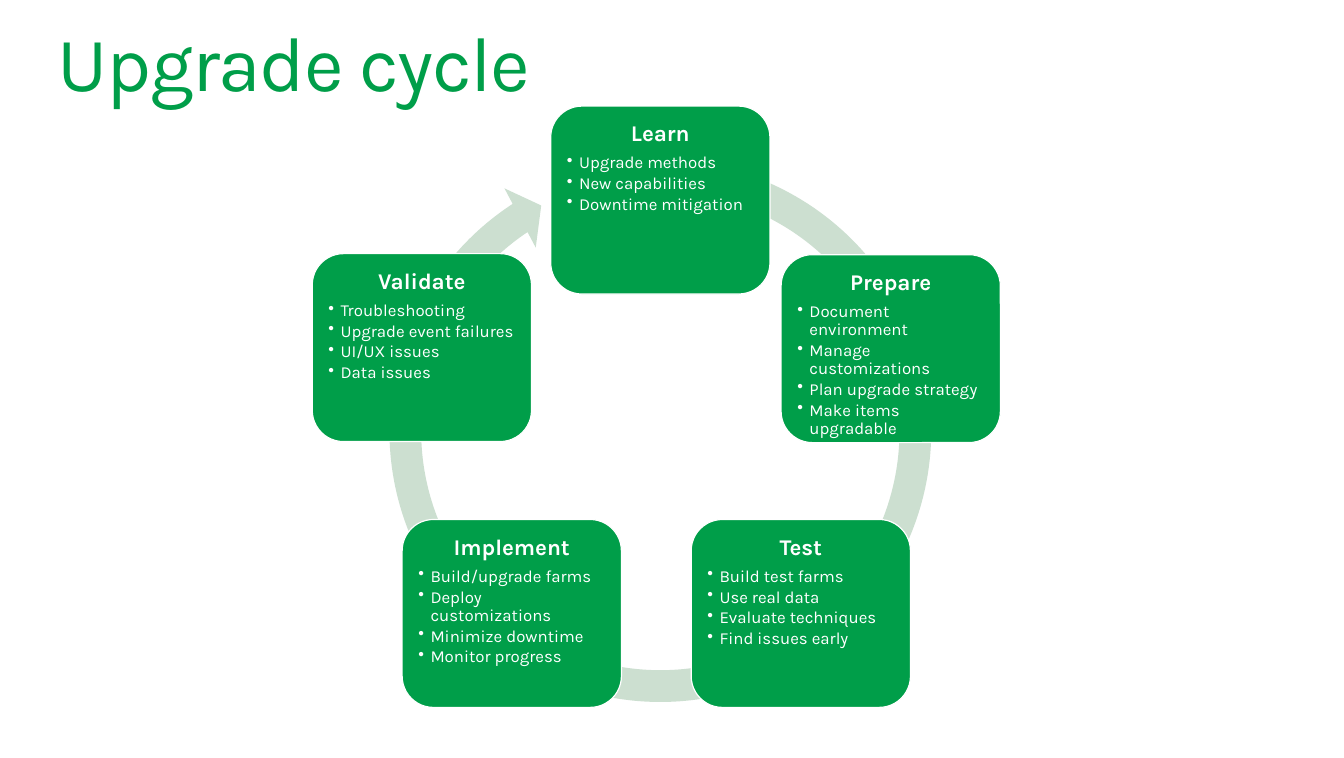
"""Build the upgrade cycle slide: five stage cards around a circular arrow."""
from lxml.etree import SubElement
from pptx import Presentation
from pptx.dml.color import RGBColor
from pptx.enum.shapes import MSO_SHAPE
from pptx.enum.text import MSO_ANCHOR, MSO_AUTO_SIZE, PP_ALIGN
from pptx.oxml.ns import qn
from pptx.util import Inches, Pt

COLORS = {"green": "009E49", "pale": "CCDFD0", "white": "FFFFFF"}
WIDTH, HEIGHT = 13.3, 7.5
COLUMNS, ROWS = 133, 75
CARD_SIZE = (21.7, 18.6)
RING_PERCENTS = (5.5, 330.7, 14198.4, 17133.9, 5.8)
STAGES = [
    (54.5, 10.5, "Learn",
     ["Upgrade methods", "New capabilities", "Downtime mitigation"]),
    (77.3, 25.2, "Prepare",
     ["Document environment", "Manage customizations",
      "Plan upgrade strategy", "Make items upgradable"]),
    (68.4, 51.4, "Test",
     ["Build test farms", "Use real data",
      "Evaluate techniques", "Find issues early"]),
    (39.8, 51.4, "Implement",
     ["Build/upgrade farms", "Deploy customizations",
      "Minimize downtime", "Monitor progress"]),
    (30.9, 25.1, "Validate",
     ["Troubleshooting", "Upgrade event failures",
      "UI/UX issues", "Data issues"]),
]


class CycleSlide:
    """Hold the slide, its grid and its style."""

    def __init__(self, deck):
        self.slide = deck.slides.add_slide(deck.slide_layouts[5])
        self.column = deck.slide_width / COLUMNS
        self.row = deck.slide_height / ROWS

    def area(self, left, top, width, height):
        return (round(left * self.column), round(top * self.row),
                round(width * self.column), round(height * self.row))

    def color(self, name):
        return RGBColor.from_string(COLORS[name])

    def style(self, para, size, color, align=PP_ALIGN.LEFT, bold=False, after=0, spacing=0):
        para.alignment = align
        para.line_spacing = 0.9
        para.space_after = Pt(after)
        for span in para.runs:
            span.font.name = "Karla"
            span.font.size = Pt(size)
            span.font.bold = bold
            span.font.color.rgb = self.color(color)
            if spacing:
                span.font._element.set("spc", str(round(spacing * 100)))

    def frame(self, box, inset=0):
        frame = box.text_frame
        frame.word_wrap = True
        frame.auto_size = MSO_AUTO_SIZE.NONE
        frame.vertical_anchor = MSO_ANCHOR.TOP
        frame.margin_left = frame.margin_right = Inches(inset)
        frame.margin_top = frame.margin_bottom = Inches(inset)
        return frame

    def title(self, text):
        box = self.slide.shapes.title
        box.left, box.top, box.width, box.height = self.area(5.7, 2.5, 121.7, 8.2)
        frame = self.frame(box)
        frame.text = text
        self.style(frame.paragraphs[0], 55, "green", spacing=-1)

    def shape(self, kind, area, fill):
        shape = self.slide.shapes.add_shape(kind, *self.area(*area))
        shape.shadow.inherit = False
        shape.fill.solid()
        shape.fill.fore_color.rgb = self.color(fill)
        return shape

    def ring(self):
        ring = self.shape(MSO_SHAPE.CIRCULAR_ARROW, (36.8, 14.1, 57.1, 57.1), "pale")
        ring.line.fill.background()
        for index, percent in enumerate(RING_PERCENTS):
            ring.adjustments[index] = percent / 100

    def bullet(self, para):
        para.level = 1
        properties = para._p.get_or_add_pPr()
        properties.set("marL", str(Inches(0.12)))
        properties.set("indent", str(Inches(-0.12)))
        SubElement(properties, qn("a:buChar")).set("char", "•")

    def card(self, left, top, heading, items):
        card = self.shape(MSO_SHAPE.ROUNDED_RECTANGLE, (left, top, *CARD_SIZE), "green")
        card.line.color.rgb = self.color("white")
        card.line.width = Pt(0.85)
        frame = self.frame(card, inset=0.07)
        frame.text = "\n".join([heading, *items])
        first, *others = frame.paragraphs
        self.style(first, 16, "white", align=PP_ALIGN.CENTER, bold=True, after=5.6)
        for para in others:
            self.bullet(para)
            self.style(para, 12, "white", after=1.8)


def main():
    deck = Presentation()
    deck.slide_width, deck.slide_height = Inches(WIDTH), Inches(HEIGHT)
    page = CycleSlide(deck)
    page.title("Upgrade cycle")
    page.ring()
    for stage in STAGES:
        page.card(*stage)
    deck.save("out.pptx")


if __name__ == "__main__":
    main()
